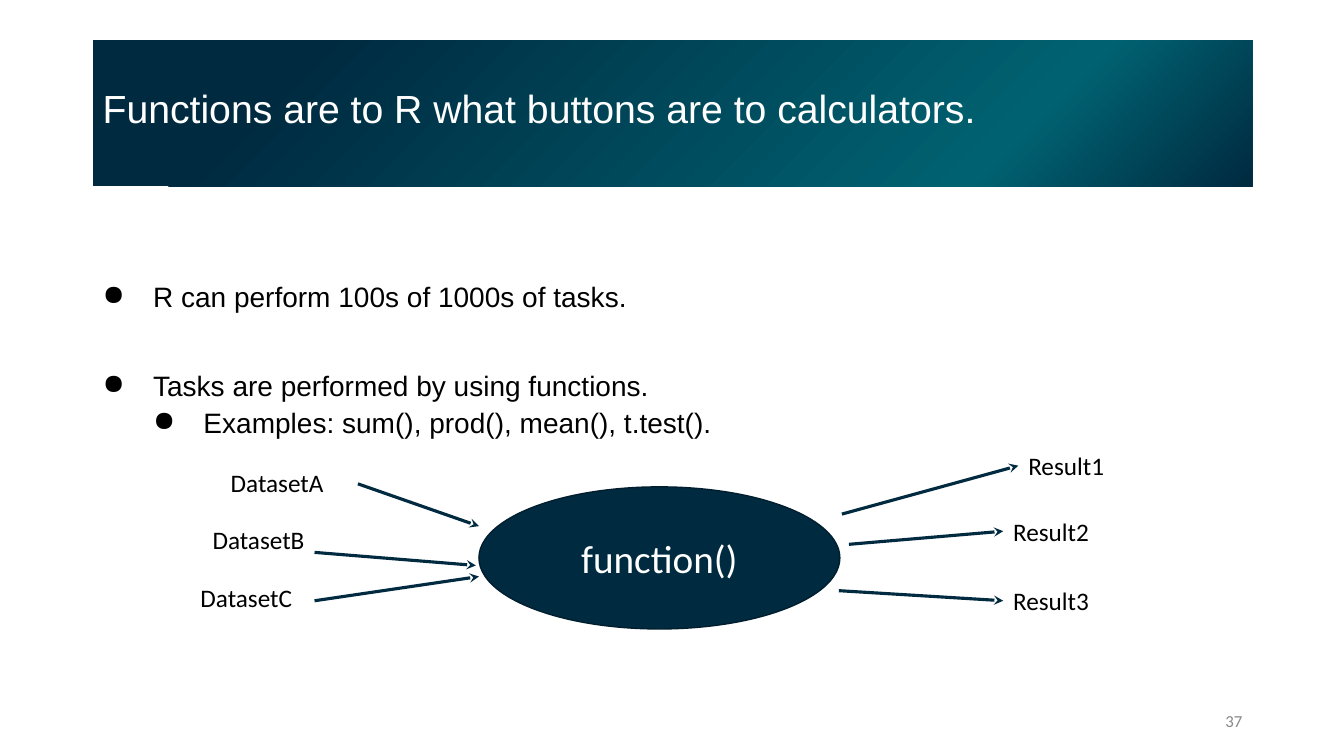
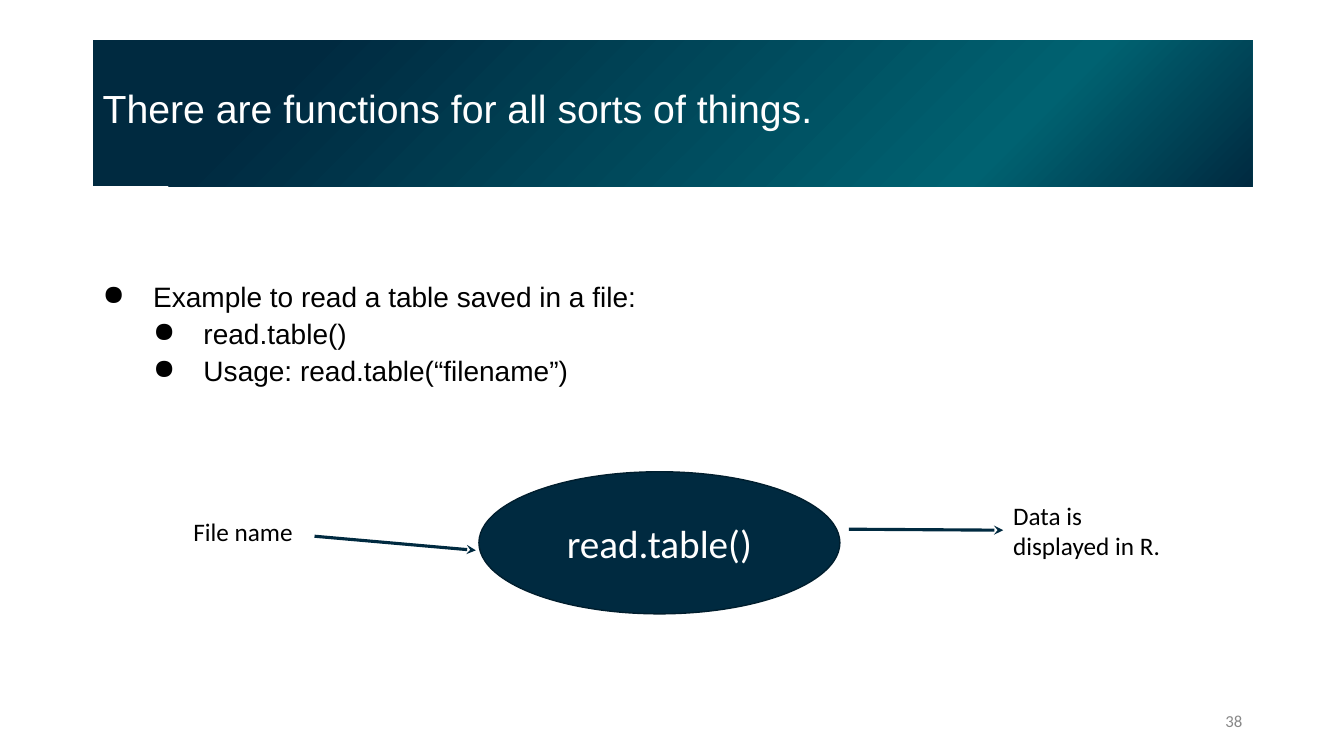
import pptx
import pptx.dml.color
import pptx.enum.shapes
import pptx.enum.text
import pptx.oxml.ns
import pptx.util
import lxml.etree

PX = 9144
NAVY = pptx.dml.color.RGBColor(0x00, 0x2A, 0x40)
TEAL = pptx.dml.color.RGBColor(0x00, 0x62, 0x71)
NAVY_EDGE = pptx.dml.color.RGBColor(0x00, 0x1E, 0x2E)
WHITE = pptx.dml.color.RGBColor(0xFF, 0xFF, 0xFF)
BLACK = pptx.dml.color.RGBColor(0x00, 0x00, 0x00)
GREY = pptx.dml.color.RGBColor(0x88, 0x88, 0x88)

SHAPE = pptx.enum.shapes.MSO_SHAPE
ANCHOR = pptx.enum.text.MSO_ANCHOR
ALIGN = pptx.enum.text.PP_ALIGN

TITLE_BOX = (92, 40, 1150, 145)
BODY_BOX = (92, 261, 1176, 213)
NUMBER_BOX = (942, 695, 300, 40)
FUNCTION_SIZE = (358, 141)
INPUT_SIZE = (166, 40)
RESULT_WIDTH = 171
BAND_STOPS = [(0, NAVY), (22, TEAL), (83, NAVY), (100, NAVY)]

TITLE_FONT = {"name": "Arial", "size": 28, "color": WHITE}
BODY_FONT = {"name": "Arial", "size": 20, "color": BLACK}
FUNCTION_FONT = {"name": "Calibri", "size": 28, "color": WHITE}
LABEL_FONT = {"name": "Calibri", "size": 18, "color": BLACK}
NUMBER_FONT = {"name": "Calibri", "size": 12, "color": GREY}

SLIDES = [
    {
        "title": "Functions are to R what buttons are to calculators.",
        "bullets": [
            (0, 0, "R can perform 100s of 1000s of tasks."),
            (0, 42, "Tasks are performed by using functions."),
            (1, 5, "Examples: sum(), prod(), mean(), t.test()."),
        ],
        "function": ("function()", 475, 483),
        "inputs": [
            ("DatasetA", (-256, -24), (-120, -3), (0, 39)),
            ("DatasetB", (-274, 32), (-163, 65), (-3, 78)),
            ("DatasetC", (-286, 90), (-163, 113), (0, 89)),
        ],
        "results": [
            ("Result1", (535, -41), 40, (360, 27)),
            ("Result2", (520, 24), 40, (367, 57)),
            ("Result3", (520, 93), 40, (357, 103)),
        ],
        "number": "37",
    },
    {
        "title": "There are functions for all sorts of things.",
        "bullets": [
            (0, 0, "Example to read a table saved in a file:"),
            (1, 5, "read.table()"),
            (1, 5, "Usage: read.table(“filename”)"),
        ],
        "function": ("read.table()", 475, 468),
        "inputs": [("File name", (-293, 39), (-163, 64), (-3, 78))],
        "results": [("Data is displayed in R.", (520, 23), 71, (367, 57))],
        "number": "38",
    },
]


def emu(*lengths):
    return [length * PX for length in lengths]


def add_xml(parent, tag, **attributes):
    return lxml.etree.SubElement(parent, pptx.oxml.ns.qn(tag), attributes)


def write(paragraph, text, font, **layout):
    for name, value in layout.items():
        setattr(paragraph, name, value)
    run = paragraph.add_run()
    run.text = text
    values = {"name": font["name"], "size": pptx.util.Pt(font["size"])}
    for name, value in values.items():
        setattr(run.font, name, value)
    run.font.color.rgb = font["color"]


def set_frame(shape, anchor=ANCHOR.TOP, left=10, top=5, right=10, bottom=5):
    values = {
        "word_wrap": True,
        "vertical_anchor": anchor,
        "margin_left": left * PX,
        "margin_top": top * PX,
        "margin_right": right * PX,
        "margin_bottom": bottom * PX,
    }
    for name, value in values.items():
        setattr(shape.text_frame, name, value)
    return shape.text_frame


def add_label(slide, box, text, font, anchor=ANCHOR.TOP, alignment=ALIGN.LEFT):
    frame = set_frame(slide.shapes.add_textbox(*emu(*box)), anchor)
    write(frame.paragraphs[0], text, font, alignment=alignment)


def add_arrow(slide, start, end):
    arrow = slide.shapes.add_connector(
        pptx.enum.shapes.MSO_CONNECTOR.STRAIGHT, *emu(*start, *end))
    arrow.line.color.rgb = NAVY
    arrow.line.width = pptx.util.Pt(2.25)
    add_xml(arrow.line._get_or_add_ln(), "a:tailEnd", type="stealth")
    add_xml(arrow._element.spPr, "a:effectLst")


def fill_band(band):
    band.fill.gradient()
    gradient = band._element.spPr.find(pptx.oxml.ns.qn("a:gradFill"))
    for child in list(gradient):
        gradient.remove(child)
    stops = add_xml(gradient, "a:gsLst")
    for percent, color in BAND_STOPS:
        stop = add_xml(stops, "a:gs", pos=str(percent * 1000))
        add_xml(stop, "a:srgbClr", val=str(color))
    focus = add_xml(gradient, "a:path", path="circle")
    add_xml(focus, "a:fillToRect", l="100000", t="100000")


def add_title(slide, box, title):
    band = slide.shapes.add_shape(SHAPE.RECTANGLE, *emu(*box))
    band.shadow.inherit = False
    band.line.fill.background()
    fill_band(band)
    frame = set_frame(band, ANCHOR.MIDDLE, top=0)
    write(frame.paragraphs[0], title, TITLE_FONT,
          alignment=ALIGN.LEFT, line_spacing=0.9)


def add_bullets(slide, box, bullets):
    frame = set_frame(slide.shapes.add_textbox(*emu(*box)), top=20, right=0)
    for index, (level, space, text) in enumerate(bullets):
        paragraph = frame.add_paragraph() if index else frame.paragraphs[0]
        properties = paragraph._p.get_or_add_pPr()
        properties.set("marL", str((level + 1) * 50 * PX))
        properties.set("indent", str(-50 * PX))
        bullet_color = add_xml(properties, "a:buClr")
        add_xml(bullet_color, "a:srgbClr", val=str(BLACK))
        add_xml(properties, "a:buChar", char="●")
        write(paragraph, text, BODY_FONT, level=level, line_spacing=0.9,
              space_before=pptx.util.Pt(space))


def add_diagram(slide, function, inputs, results):
    name, left, top = function

    def place(point):
        return left + point[0], top + point[1]

    ellipse = slide.shapes.add_shape(
        SHAPE.OVAL, *emu(left, top, *FUNCTION_SIZE))
    ellipse.shadow.inherit = False
    ellipse.fill.solid()
    ellipse.fill.fore_color.rgb = NAVY
    ellipse.line.color.rgb = NAVY_EDGE
    ellipse.line.width = pptx.util.Pt(1)
    frame = set_frame(ellipse, ANCHOR.MIDDLE)
    write(frame.paragraphs[0], name, FUNCTION_FONT, alignment=ALIGN.CENTER)

    for text, corner, start, end in inputs:
        add_label(slide, (*place(corner), *INPUT_SIZE), text, LABEL_FONT)
        add_arrow(slide, place(start), place(end))
    for text, corner, height, start in results:
        label_left, label_top = place(corner)
        add_label(slide, (label_left, label_top, RESULT_WIDTH, height),
                  text, LABEL_FONT)
        add_arrow(slide, place(start), (label_left, label_top + height // 2))


def build_slide(deck, content):
    slide = deck.slides.add_slide(deck.slide_layouts[6])
    add_title(slide, TITLE_BOX, content["title"])
    add_bullets(slide, BODY_BOX, content["bullets"])
    add_diagram(slide, content["function"], content["inputs"],
                content["results"])
    add_label(slide, NUMBER_BOX, content["number"], NUMBER_FONT,
              ANCHOR.MIDDLE, ALIGN.RIGHT)


def main():
    deck = pptx.Presentation()
    deck.slide_width, deck.slide_height = emu(1333, 750)
    for content in SLIDES:
        build_slide(deck, content)
    deck.save("out.pptx")


if __name__ == "__main__":
    main()
